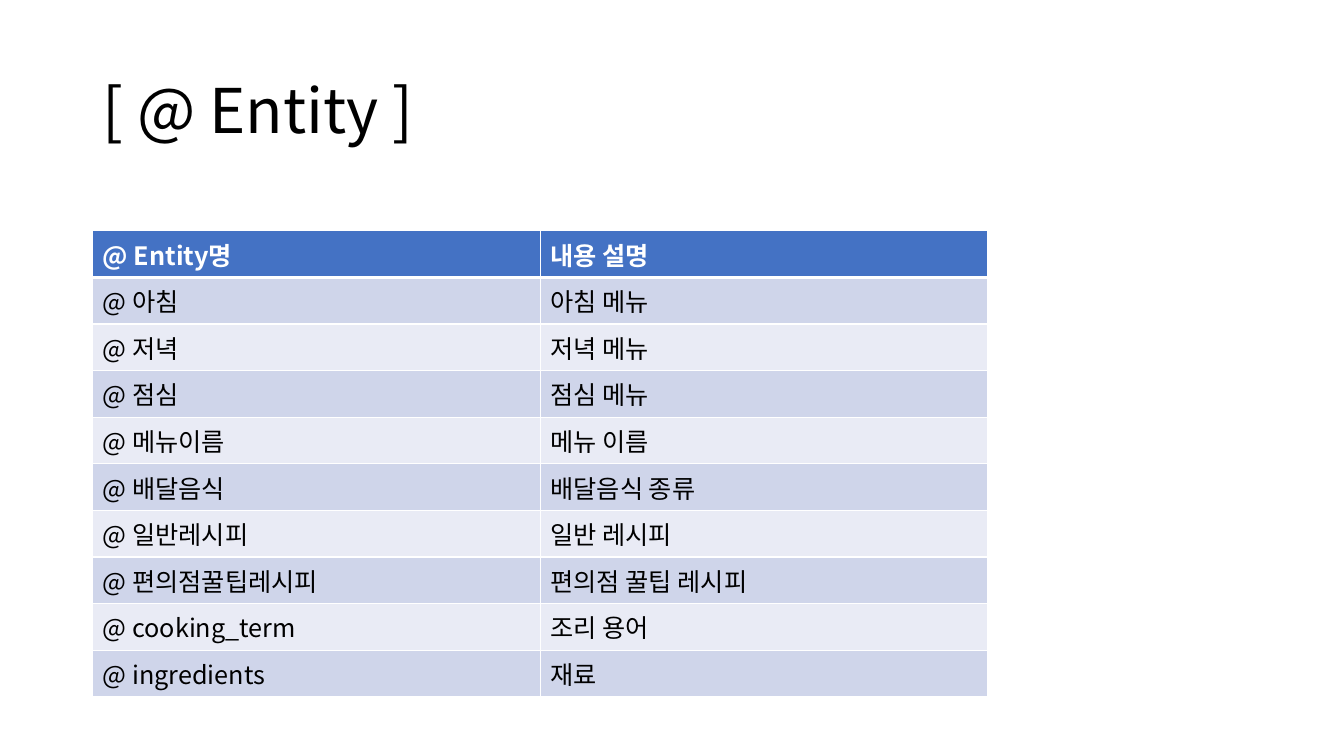
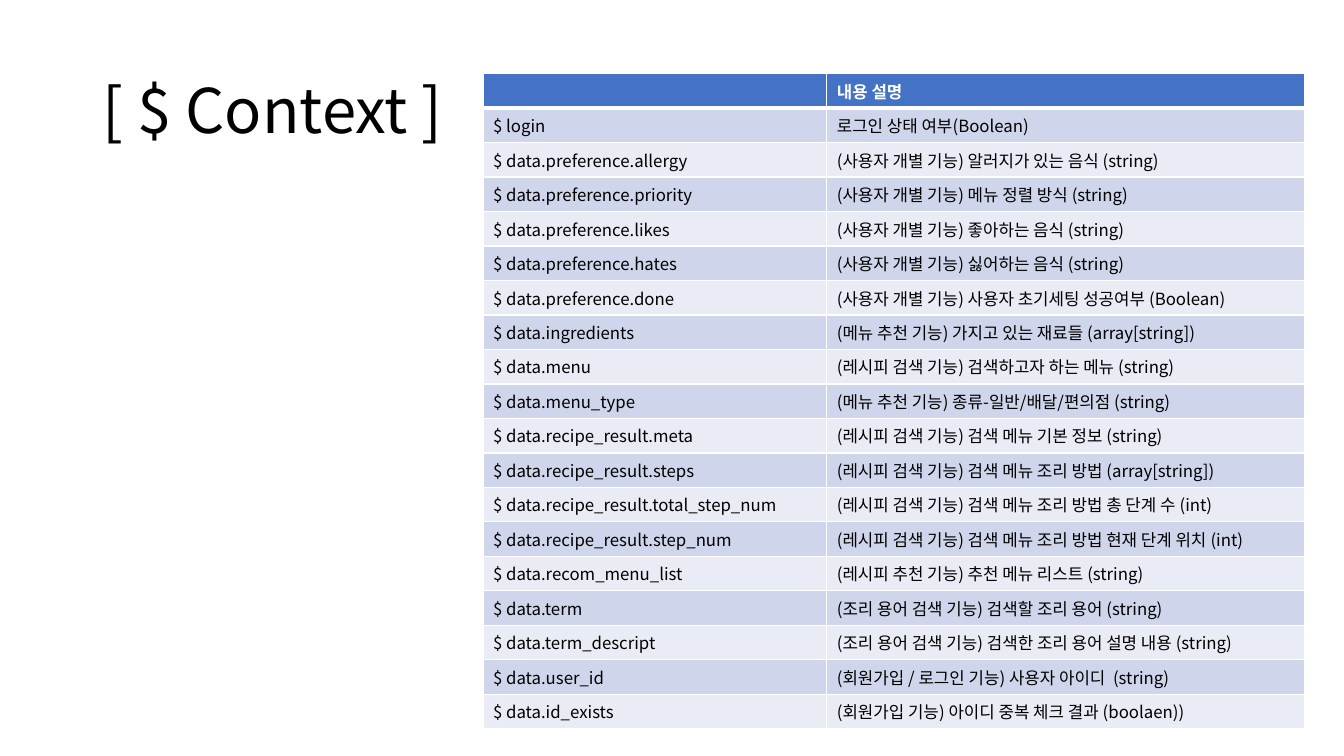
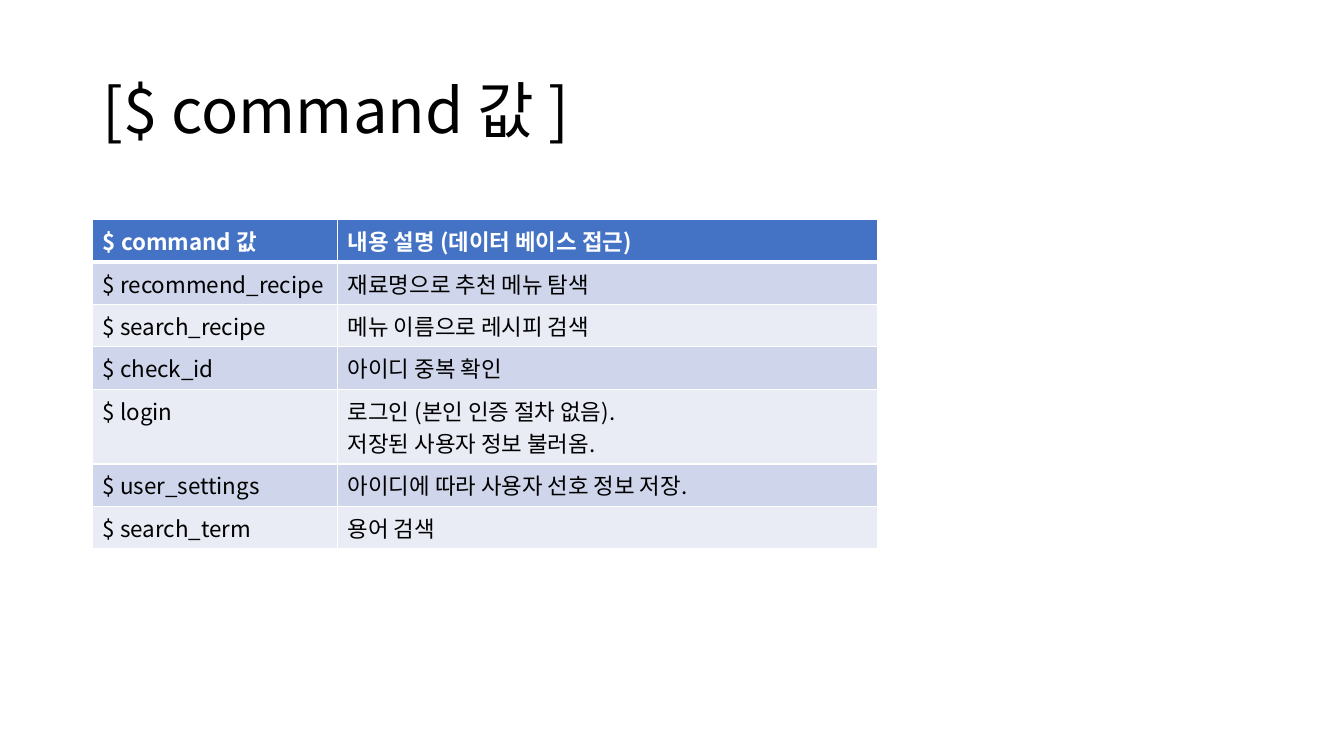
from lxml.etree import SubElement
from pptx import Presentation
from pptx.dml.color import RGBColor
from pptx.enum.text import MSO_ANCHOR, MSO_AUTO_SIZE, PP_ALIGN
from pptx.oxml.ns import qn
from pptx.util import Inches, Pt

FONT = "Noto Sans CJK KR"
COLORS = {
    "text": "000000",
    "header_text": "FFFFFF",
    "border": "FFFFFF",
    "header": "4472C4",
    "odd": "CFD5EA",
    "even": "E9EBF5",
}

ENTITIES = [
    ("@ Entity명", "내용 설명"),
    ("@ 아침", "아침 메뉴"),
    ("@ 저녁", "저녁 메뉴"),
    ("@ 점심", "점심 메뉴"),
    ("@ 메뉴이름", "메뉴 이름"),
    ("@ 배달음식", "배달음식 종류"),
    ("@ 일반레시피", "일반 레시피"),
    ("@ 편의점꿀팁레시피", "편의점 꿀팁 레시피"),
    ("@ cooking_term", "조리 용어"),
    ("@ ingredients", "재료"),
]

CONTEXTS = [
    ("", "내용 설명"),
    ("$ login", "로그인 상태 여부(Boolean)"),
    ("$ data.preference.allergy", "(사용자 개별 기능) 알러지가 있는 음식 (string)"),
    ("$ data.preference.priority", "(사용자 개별 기능) 메뉴 정렬 방식 (string)"),
    ("$ data.preference.likes", "(사용자 개별 기능) 좋아하는 음식 (string)"),
    ("$ data.preference.hates", "(사용자 개별 기능) 싫어하는 음식 (string)"),
    ("$ data.preference.done", "(사용자 개별 기능) 사용자 초기세팅 성공여부 (Boolean)"),
    ("$ data.ingredients", "(메뉴 추천 기능) 가지고 있는 재료들 (array[string])"),
    ("$ data.menu", "(레시피 검색 기능) 검색하고자 하는 메뉴 (string)"),
    ("$ data.menu_type", "(메뉴 추천 기능) 종류-일반/배달/편의점 (string)"),
    ("$ data.recipe_result.meta", "(레시피 검색 기능) 검색 메뉴 기본 정보 (string)"),
    ("$ data.recipe_result.steps", "(레시피 검색 기능) 검색 메뉴 조리 방법 (array[string])"),
    ("$ data.recipe_result.total_step_num", "(레시피 검색 기능) 검색 메뉴 조리 방법 총 단계 수 (int)"),
    ("$ data.recipe_result.step_num", "(레시피 검색 기능) 검색 메뉴 조리 방법 현재 단계 위치 (int)"),
    ("$ data.recom_menu_list", "(레시피 추천 기능) 추천 메뉴 리스트 (string)"),
    ("$ data.term", "(조리 용어 검색 기능) 검색할 조리 용어 (string)"),
    ("$ data.term_descript", "(조리 용어 검색 기능) 검색한 조리 용어 설명 내용 (string)"),
    ("$ data.user_id", "(회원가입 / 로그인 기능) 사용자 아이디  (string)"),
    ("$ data.id_exists", "(회원가입 기능) 아이디 중복 체크 결과 (boolaen))"),
]

COMMANDS = [
    ("$ command 값", "내용 설명 (데이터 베이스 접근)"),
    ("$ recommend_recipe", "재료명으로 추천 메뉴 탐색"),
    ("$ search_recipe", "메뉴 이름으로 레시피 검색"),
    ("$ check_id", "아이디 중복 확인"),
    ("$ login", "로그인 (본인 인증 절차 없음).\n저장된 사용자 정보 불러옴."),
    ("$ user_settings", "아이디에 따라 사용자 선호 정보 저장."),
    ("$ search_term", "용어 검색"),
]


def format_text(tf, size, color, bold=False):
    """Apply one font style to every run, and its size to empty paragraphs."""
    for p in tf.paragraphs:
        if not p.runs:
            SubElement(p._p, qn("a:endParaRPr"), sz=str(size * 100))
        for r in p.runs:
            r.font.name = FONT
            r.font.size = Pt(size)
            r.font.bold = bold
            r.font.color.rgb = RGBColor.from_string(COLORS[color])
            SubElement(r.font._element, qn("a:ea"), typeface=FONT)


def add_title_slide(prs, title):
    """Add a slide with the shared title style."""
    s = prs.slides.add_slide(prs.slide_layouts[5])
    sp = s.shapes.title
    sp.left, sp.top = Inches(0.92), Inches(0.4)
    sp.width, sp.height = Inches(11.5), Inches(1.45)
    tf = sp.text_frame
    tf.text = title
    tf.word_wrap = True
    tf.auto_size = MSO_AUTO_SIZE.NONE
    tf.vertical_anchor = MSO_ANCHOR.MIDDLE
    p = tf.paragraphs[0]
    p.alignment = PP_ALIGN.LEFT
    p.line_spacing = 0.9
    format_text(tf, 44, "text")
    return s


def set_borders(cell, top, bottom):
    """Draw the cell borders, with top and bottom widths in points."""
    tc_pr = cell._tc.get_or_add_tcPr()
    for side, width in (("L", 1), ("R", 1), ("T", top), ("B", bottom)):
        line = SubElement(tc_pr, qn(f"a:ln{side}"), w=str(Pt(width)))
        fill = SubElement(line, qn("a:solidFill"))
        SubElement(fill, qn("a:srgbClr"), val=COLORS["border"])


def format_cell(cell, text, row, size):
    """Fill one cell with text in the style of its row."""
    header = row == 0
    cell.text_frame.text = text
    format_text(cell.text_frame, size, "header_text" if header else "text", header)
    set_borders(cell, 3 if row == 1 else 1, 3 if header else 1)
    band = "header" if header else "odd" if row % 2 else "even"
    cell.fill.solid()
    cell.fill.fore_color.rgb = RGBColor.from_string(COLORS[band])


def add_banded_table(s, rows, left, top, widths, row_height, size):
    """Add a two-column table with a header and banded rows."""
    table = s.shapes.add_table(
        len(rows), len(widths), Inches(left), Inches(top),
        Inches(sum(widths)), Inches(row_height * len(rows))).table
    for column, width in zip(table.columns, widths):
        column.width = Inches(width)
    for i, texts in enumerate(rows):
        for j, text in enumerate(texts):
            format_cell(table.cell(i, j), text, i, size)


def main():
    """Build the three reference slides."""
    prs = Presentation()
    prs.slide_width, prs.slide_height = Inches(13.33), Inches(7.5)
    s = add_title_slide(prs, "[ @ Entity ]")
    add_banded_table(s, ENTITIES, 0.92, 2.29, (4.44, 4.44), 0.41, 18)
    s = add_title_slide(prs, "[ $ Context ]")
    add_banded_table(s, CONTEXTS, 4.79, 0.73, (3.41, 4.74), 0.33, 12)
    s = add_title_slide(prs, "[$ command 값 ]")
    add_banded_table(s, COMMANDS, 0.92, 2.18, (2.43, 5.35), 0.41, 16)
    prs.save("out.pptx")


main()
